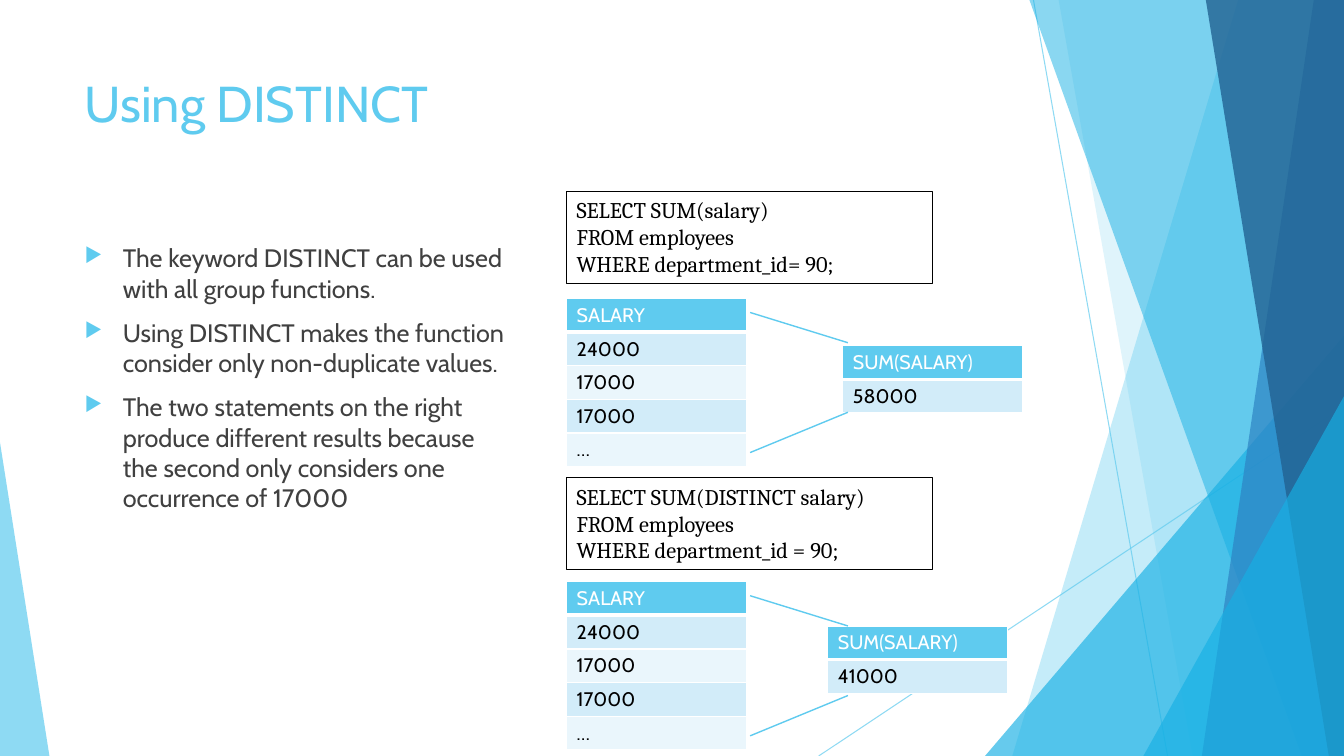
import pptx
import pptx.dml.color
import pptx.enum.shapes
import pptx.enum.text
import pptx.oxml.ns
import pptx.util
from lxml import etree

Inches = pptx.util.Inches
Pt = pptx.util.Pt
RGBColor = pptx.dml.color.RGBColor
qn = pptx.oxml.ns.qn

SKY = RGBColor(0x5F, 0xCB, 0xEF)
CYAN = RGBColor(0x17, 0xB0, 0xE4)
BLUE = RGBColor(0x2E, 0x83, 0xC3)
NAVY = RGBColor(0x22, 0x62, 0x92)
BAND_DARK = RGBColor(0xD2, 0xEC, 0xF9)
BAND_LIGHT = RGBColor(0xEA, 0xF6, 0xFC)
WHITE = RGBColor(0xFF, 0xFF, 0xFF)
BLACK = RGBColor(0, 0, 0)
GRAY = RGBColor(0x40, 0x40, 0x40)

W, H = 13.33, 7.5
ROW_H = 0.33
COL_W = 1.78

# Translucent panels, back to front: points, colour, opacity in percent
PANELS = [
    ([(12.28, 0), (W, 0), (W, H), (10.04, H)], SKY, 36),
    ([(10.5, 0), (W, 0), (W, H), (11.83, H)], SKY, 20),
    ([(W, 3.33), (W, H), (9.77, H)], CYAN, 66),
    ([(10.21, 0), (W, 0), (W, H), (12.91, H)], CYAN, 50),
    ([(13.03, 0), (W, 0), (W, H), (11.92, H)], BLUE, 70),
    ([(11.96, 0), (W, 0), (W, H), (13.18, H)], NAVY, 80),
    ([(W, 3.93), (W, H), (11.34, H)], CYAN, 66),
    ([(0, 4.39), (0.49, H), (0, H)], SKY, 70),
]

BULLETS = [
    "The keyword DISTINCT can be used with all group functions.",
    "Using DISTINCT makes the function consider only non-duplicate values.",
    "The two statements on the right produce different results because "
    "the second only considers one occurrence of 17000",
]

SALARIES = ["SALARY", "24000", "17000", "17000", "…"]

# Query, its top, salary table top, result, result left and top, top of the lines
EXAMPLES = [
    ("SELECT SUM(salary)\nFROM employees\nWHERE department_id= 90;",
     1.9, 2.96, "58000", 8.36, 3.43, 3.1),
    ("SELECT SUM(DISTINCT salary)\nFROM employees\nWHERE department_id = 90;",
     4.74, 5.77, "41000", 8.21, 6.21, 5.91),
]


def set_alpha(fill_parent, percent):
    color = next(fill_parent.iter(qn("a:srgbClr")))
    etree.SubElement(color, qn("a:alpha"), val=str(percent * 1000))


def style_text(tf, size, font, color):
    for p in tf.paragraphs:
        for r in p.runs:
            r.font.size = Pt(size)
            r.font.name = font
            r.font.color.rgb = color


def add_line(s, start, end, width, opacity=100):
    line = s.shapes.add_connector(pptx.enum.shapes.MSO_CONNECTOR.STRAIGHT,
                                  *map(Inches, start + end))
    line.line.color.rgb = SKY
    line.line.width = Pt(width)
    if opacity < 100:
        set_alpha(line.line._ln, opacity)
    etree.SubElement(line._element.spPr, qn("a:effectLst"))


def add_panel(s, points, color, opacity):
    corners = [(Inches(x), Inches(y)) for x, y in points]
    builder = s.shapes.build_freeform(*corners[0])
    builder.add_line_segments(corners[1:], close=True)
    sp = builder.convert_to_shape()
    sp.shadow.inherit = False
    sp.fill.solid()
    sp.fill.fore_color.rgb = color
    set_alpha(sp._element.spPr, opacity)
    sp.line.fill.background()


def add_text(s, box, text, size, font, color):
    sp = s.shapes.add_textbox(*map(Inches, box))
    tf = sp.text_frame
    tf.word_wrap = True
    tf.text = text
    style_text(tf, size, font, color)
    return sp


def add_bullets(tf):
    for i, p in enumerate(tf.paragraphs):
        pPr = p._p.get_or_add_pPr()
        pPr.set("marL", str(Inches(0.38)))
        pPr.set("indent", str(-Inches(0.38)))
        color = etree.SubElement(pPr, qn("a:buClr"))
        etree.SubElement(color, qn("a:srgbClr"), val=str(SKY))
        etree.SubElement(pPr, qn("a:buSzPct"), val="80000")
        etree.SubElement(pPr, qn("a:buChar"), char="▶")
        if i:
            p.space_before = Pt(10)


def set_borders(cell, bottom):
    tcPr = cell._tc.get_or_add_tcPr()
    for i, (side, width) in enumerate(zip("LRTB", (1, 1, 1, bottom))):
        ln = etree.Element(qn(f"a:ln{side}"), w=str(Pt(width)))
        fill = etree.SubElement(ln, qn("a:solidFill"))
        etree.SubElement(fill, qn("a:srgbClr"), val=str(WHITE))
        tcPr.insert(i, ln)


def add_column_table(s, left, top, values):
    table = s.shapes.add_table(len(values), 1, Inches(left), Inches(top), Inches(COL_W),
                               Inches(ROW_H * len(values))).table
    for i, value in enumerate(values):
        header = i == 0
        cell = table.cell(i, 0)
        cell.text = value
        style_text(cell.text_frame, 14, "Cabin", WHITE if header else BLACK)
        cell.fill.solid()
        cell.fill.fore_color.rgb = SKY if header else (BAND_LIGHT, BAND_DARK)[i % 2]
        set_borders(cell, 3 if header else 1)


def add_example(s, query, query_top, table_top, total, total_left, total_top, lines_top):
    add_column_table(s, 5.62, table_top, SALARIES)
    sp = add_text(s, (5.62, query_top, 3.63, 0.91), query, 16, "Cambria", BLACK)
    sp.line.color.rgb = BLACK
    sp.line.width = Pt(0.75)
    add_column_table(s, total_left, total_top, ["SUM(SALARY)", total])
    add_line(s, (8.41, lines_top + 0.99), (7.44, lines_top + 1.39), 1)
    add_line(s, (8.41, lines_top + 0.3), (7.44, lines_top), 1)


def main():
    prs = pptx.Presentation()
    prs.slide_width, prs.slide_height = Inches(W), Inches(H)
    s = prs.slides.add_slide(prs.slide_layouts[6])

    # Decorative background
    add_line(s, (10.25, 0), (11.58, H), 0.75, 70)
    add_line(s, (W, 4.03), (8.12, H), 0.75, 70)
    for panel in PANELS:
        add_panel(s, *panel)

    # Title and bullets
    add_text(s, (0.74, 0.67, 9.4, 1.44), "Using DISTINCT", 36, "Cabin", SKY)
    body = add_text(s, (0.74, 2.36, 4.4, 4.24), "\n".join(BULLETS), 18, "Cabin", GRAY)
    add_bullets(body.text_frame)

    # Queries with their results
    for example in EXAMPLES:
        add_example(s, *example)

    prs.save("out.pptx")


if __name__ == "__main__":
    main()
